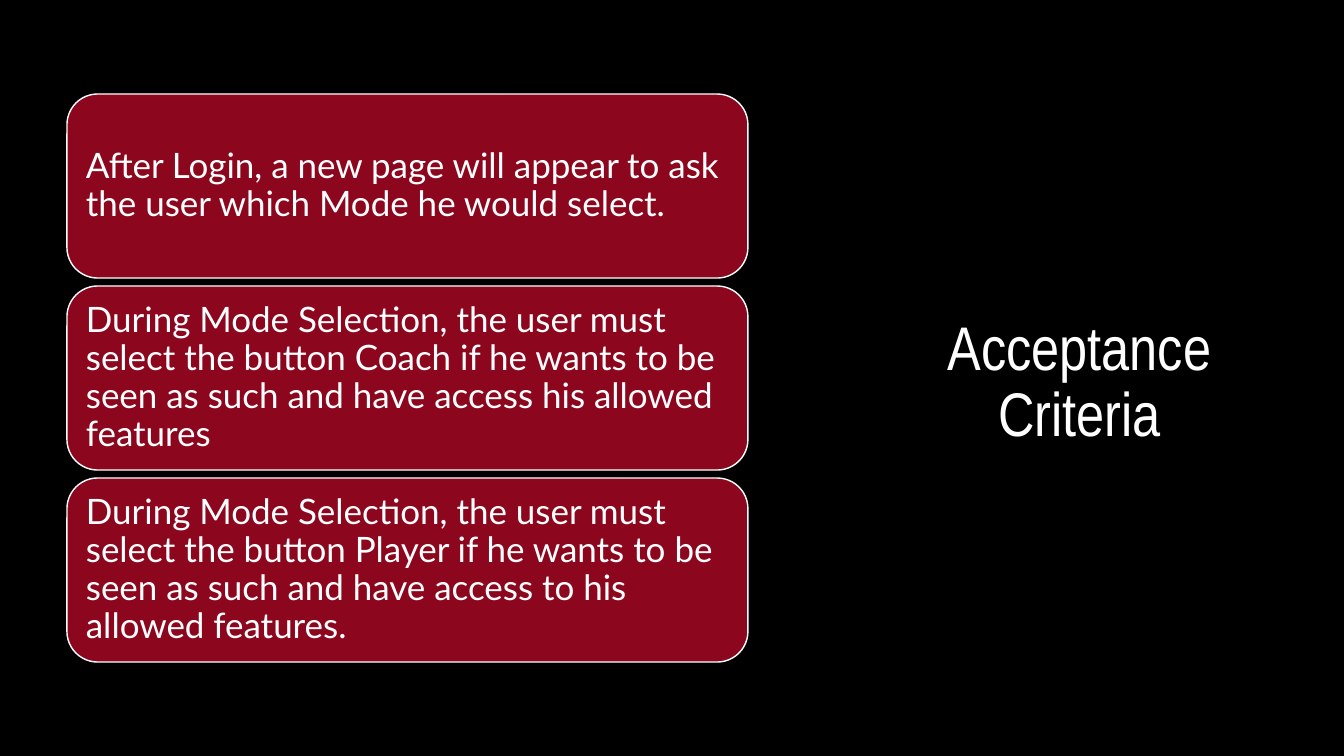
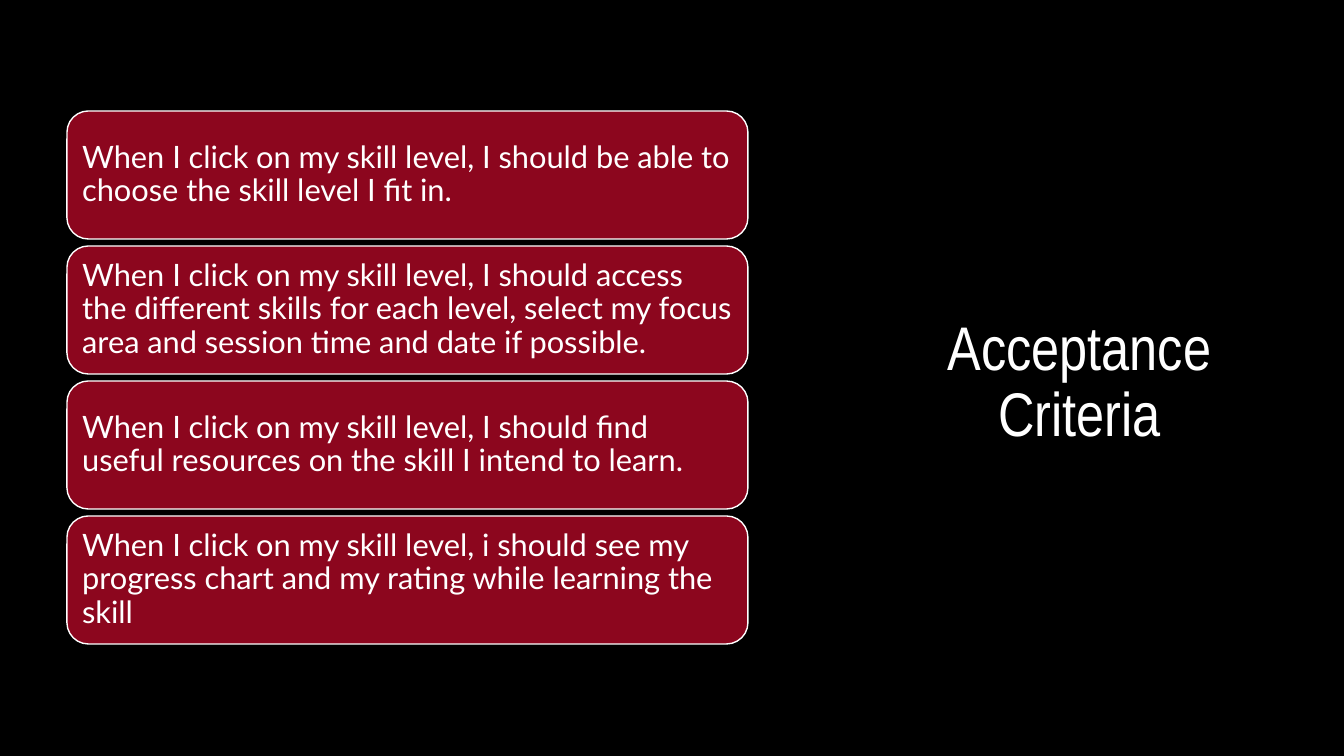
from dataclasses import dataclass

from pptx import Presentation
from pptx.dml.color import RGBColor
from pptx.enum.shapes import MSO_SHAPE
from pptx.enum.text import MSO_ANCHOR, PP_ALIGN
from pptx.util import Emu, Pt


@dataclass(frozen=True)
class Theme:
    background: RGBColor = RGBColor(0x00, 0x00, 0x00)
    card: RGBColor = RGBColor(0x8C, 0x06, 0x1E)
    ink: RGBColor = RGBColor(0xFF, 0xFF, 0xFF)
    title_font: str = "Arial Narrow"
    body_font: str = "Lato"
    title_size: int = 44
    large_body: int = 25
    small_body: int = 22
    outline: int = 1
    leading: float = 0.9


@dataclass(frozen=True)
class Box:
    left: int
    top: int
    width: int
    height: int

    def emu(self):
        return [px(n) for n in (self.left, self.top, self.width, self.height)]


@dataclass(frozen=True)
class CardStyle:
    height: int
    gap: int
    inset: int
    size: int


THEME = Theme()
PAGE = Box(0, 0, 1344, 756)
CARD_COLUMN = Box(67, 94, 681, 568)
TITLE_BOX = Box(878, 220, 403, 235)
TALL_CARDS = CardStyle(height=184, gap=8, inset=10, size=THEME.large_body)
SHORT_CARDS = CardStyle(height=128, gap=7, inset=9, size=THEME.small_body)

TITLE = "Acceptance Criteria"
MODE_CRITERIA = [
    "After Login, a new page will appear to ask the user which Mode he would select.",
    "During Mode Selection, the user must select the button Coach if he wants to be "
    "seen as such and have access his allowed features",
    "During Mode Selection, the user must select the button Player if he wants to be "
    "seen as such and have access to his allowed features.",
]
SKILL_CRITERIA = [
    "When I click on my skill level, I should be able to choose the skill level I fit in.",
    "When I click on my skill level, I should access the different skills for each "
    "level, select my focus area and session time and date if possible.",
    "When I click on my skill level, I should find useful resources on the skill "
    "I intend to learn.",
    "When I click on my skill level, i should see my progress chart and my rating "
    "while learning the skill",
]


def px(count):
    return Emu(round(count * 12192000 / 1344))


def write(frame, text, font, size, align, anchor):
    frame.text = text
    frame.word_wrap = True
    frame.vertical_anchor = anchor
    para = frame.paragraphs[0]
    para.alignment = align
    para.line_spacing = THEME.leading
    span = para.runs[0]
    span.font.name = font
    span.font.size = Pt(size)
    span.font.color.rgb = THEME.ink


def add_title(page, box, text):
    frame = page.shapes.add_textbox(*box.emu()).text_frame
    write(frame, text, THEME.title_font, THEME.title_size,
          PP_ALIGN.CENTER, MSO_ANCHOR.BOTTOM)


def add_card(page, box, text, style):
    card = page.shapes.add_shape(MSO_SHAPE.ROUNDED_RECTANGLE, *box.emu())
    card.shadow.inherit = False
    card.fill.solid()
    card.fill.fore_color.rgb = THEME.card
    card.line.color.rgb = THEME.ink
    card.line.width = Pt(THEME.outline)
    frame = card.text_frame
    frame.margin_left = frame.margin_right = px(style.inset)
    frame.margin_top = frame.margin_bottom = px(style.inset)
    write(frame, text, THEME.body_font, style.size, PP_ALIGN.LEFT, MSO_ANCHOR.MIDDLE)


def add_card_column(page, box, texts, style):
    pitch = style.height + style.gap
    stack_height = len(texts) * pitch - style.gap
    first_top = box.top + (box.height - stack_height) // 2
    for index, text in enumerate(texts):
        card_box = Box(box.left, first_top + index * pitch, box.width, style.height)
        add_card(page, card_box, text, style)


def add_criteria_slide(deck, texts, style):
    page = deck.slides.add_slide(deck.slide_layouts[6])
    page.background.fill.solid()
    page.background.fill.fore_color.rgb = THEME.background
    add_title(page, TITLE_BOX, TITLE)
    add_card_column(page, CARD_COLUMN, texts, style)


def main():
    deck = Presentation()
    deck.slide_width = px(PAGE.width)
    deck.slide_height = px(PAGE.height)
    add_criteria_slide(deck, MODE_CRITERIA, TALL_CARDS)
    add_criteria_slide(deck, SKILL_CRITERIA, SHORT_CARDS)
    deck.save("out.pptx")


if __name__ == "__main__":
    main()
